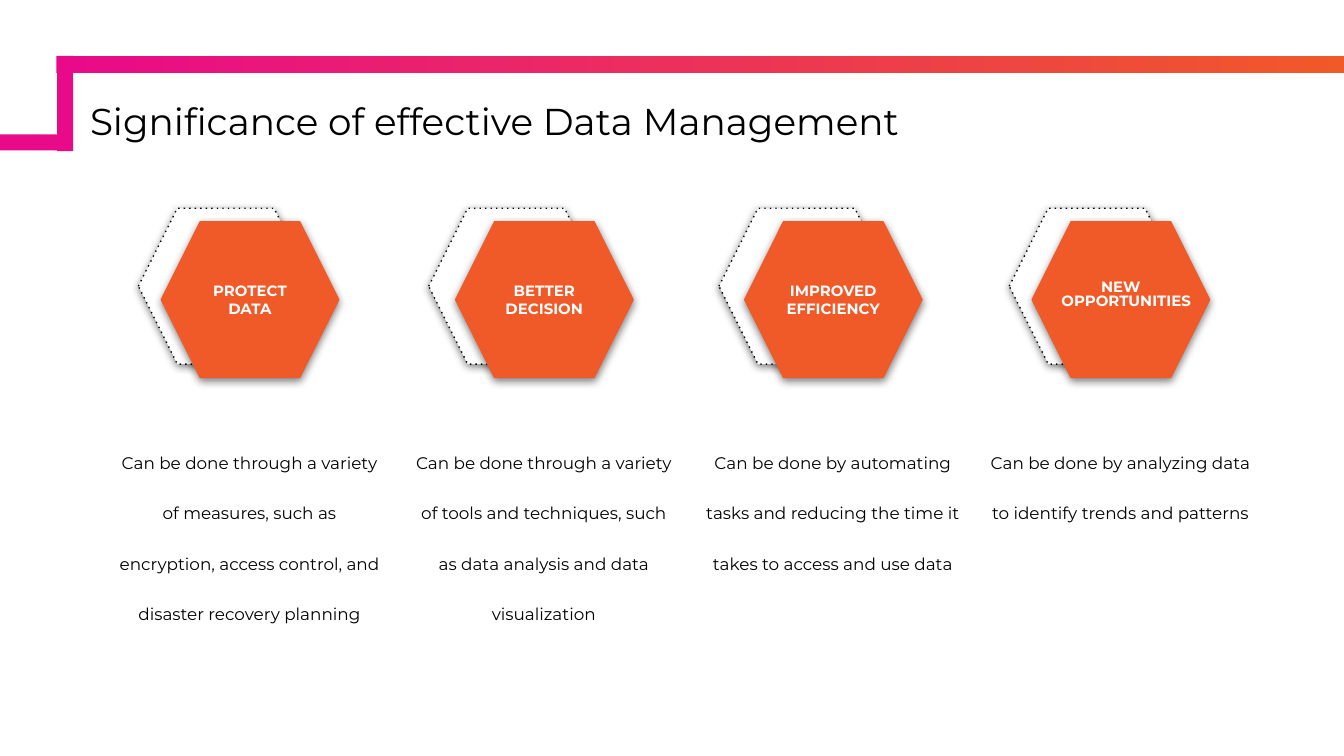
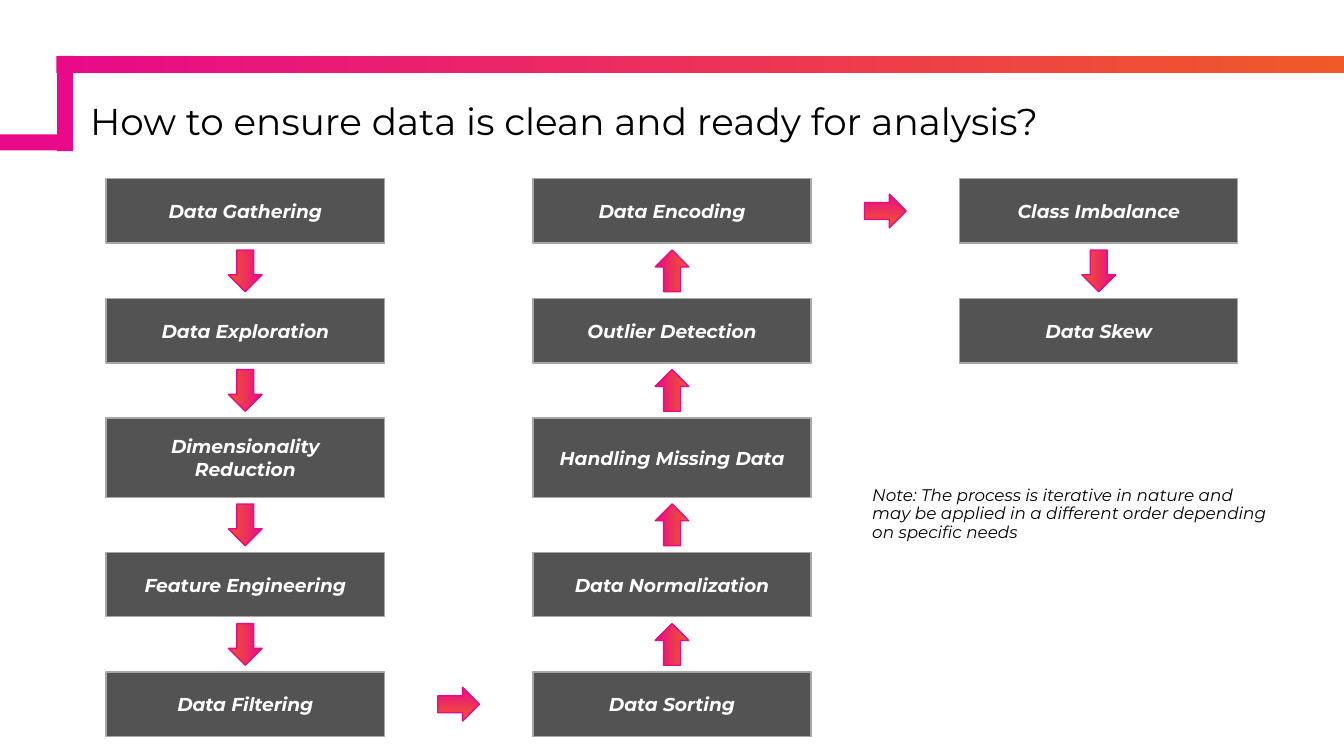
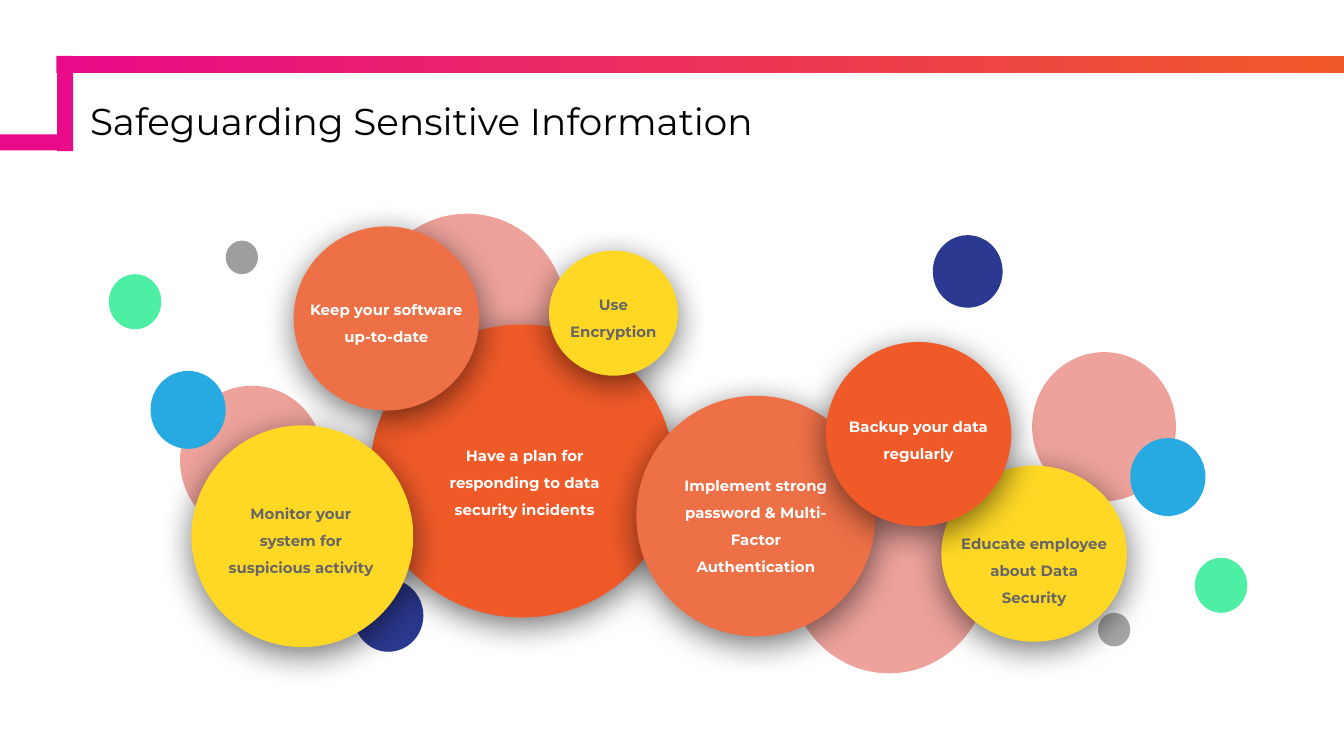
from dataclasses import dataclass

from lxml import etree
from pptx import Presentation
from pptx.dml.color import RGBColor
from pptx.enum.shapes import MSO_SHAPE
from pptx.enum.text import MSO_ANCHOR, PP_ALIGN
from pptx.oxml.ns import qn
from pptx.util import Inches, Pt

RECT, HEXAGON = MSO_SHAPE.RECTANGLE, MSO_SHAPE.HEXAGON
OVAL, DOWN_ARROW = MSO_SHAPE.OVAL, MSO_SHAPE.DOWN_ARROW
TOP, MIDDLE, BOTTOM = MSO_ANCHOR.TOP, MSO_ANCHOR.MIDDLE, MSO_ANCHOR.BOTTOM
LEFT, CENTER = PP_ALIGN.LEFT, PP_ALIGN.CENTER


@dataclass(frozen=True)
class Theme:
    """Colours, font and type sizes shared by all slides."""
    font: str = "Montserrat"
    title: int = 20
    step: int = 10
    body: int = 9
    label: int = 8
    black: str = "000000"
    white: str = "FFFFFF"
    orange: str = "F05A28"
    magenta: str = "E80A89"
    coral: str = "ED7047"
    yellow: str = "FFD825"
    rose: str = "EDA29B"
    navy: str = "2B3990"
    mint: str = "4DEFA5"
    sky: str = "27AAE1"
    silver: str = "A7A7A7"
    gray: str = "9E9E9E"
    dim: str = "666666"
    charcoal: str = "535353"


T = Theme()
HEX_SHADOW = (50, 4.5, 1.5)
BUBBLE_SHADOW = (55, 18, 4)

BENEFITS = [
    (1.2, "PROTECT DATA", 4, "Can be done through a variety of measures, such as "
     "encryption, access control, and disaster recovery planning"),
    (3.39, "BETTER DECISION", 4, "Can be done through a variety of tools and "
     "techniques, such as data analysis and data visualization"),
    (5.54, "IMPROVED EFFICIENCY", 3, "Can be done by automating tasks and reducing "
     "the time it takes to access and use data"),
    (7.68, "NEW OPPORTUNITIES", 2, "Can be done by analyzing data to identify "
     "trends and patterns"),
]

STEPS = [
    ("Data Gathering", 0, 0), ("Data Exploration", 0, 1),
    ("Dimensionality Reduction", 0, 2), ("Feature Engineering", 0, 3),
    ("Data Filtering", 0, 4), ("Data Sorting", 1, 4),
    ("Data Normalization", 1, 3), ("Handling Missing Data", 1, 2),
    ("Outlier Detection", 1, 1), ("Data Encoding", 1, 0),
    ("Class Imbalance", 2, 0), ("Data Skew", 2, 1),
]

DOTS = [
    (6.94, 1.75, 0.52, 0.54, T.navy), (8.89, 4.15, 0.39, 0.41, T.mint),
    (7.68, 2.62, 1.07, 1.11, T.rose), (5.87, 3.46, 1.49, 1.55, T.rose),
    (8.41, 3.26, 0.56, 0.58, T.sky), (8.17, 4.56, 0.24, 0.25, T.silver),
]

BACK_BUBBLE = ((7.01, 3.47, 1.37, 1.3), T.yellow, T.dim,
               "Educate employee about Data Security", 0, 0.09)
BUBBLES = [
    ((2.76, 2.42, 2.25, 2.17), T.orange, T.white,
     "Have a plan for responding to data security incidents", 0.02, 0.05),
    ((2.19, 1.69, 1.37, 1.36), T.coral, T.white, "Keep your software up-to-date", 0, 0),
    ((1.43, 3.17, 1.64, 1.64), T.yellow, T.dim,
     "Monitor your system for suspicious activity", -0.01, 0),
    ((4.09, 1.87, 0.95, 0.92), T.yellow, T.dim, "Use Encryption", 0, 0),
    ((4.74, 2.95, 1.77, 1.78), T.coral, T.white,
     "Implement strong password & Multi-Factor Authentication", 0, 0.04),
    ((6.15, 2.55, 1.37, 1.36), T.orange, T.white, "Backup your data regularly", 0, 0.01),
]


def rgb(color):
    """Turn a hex string into a colour."""
    return RGBColor.from_string(color)


def add_shadow(sp, alpha, blur, dist):
    """Give a shape a soft black shadow that falls downwards."""
    effects = sp._element.spPr.find(qn("a:effectLst"))
    outer = etree.SubElement(effects, qn("a:outerShdw"), blurRad=str(Pt(blur)),
                             dist=str(Pt(dist)), dir="5400000", algn="bl",
                             rotWithShape="0")
    color = etree.SubElement(outer, qn("a:srgbClr"), val=T.black)
    etree.SubElement(color, qn("a:alpha"), val=str(alpha * 1000))


def add_shape(slide, kind, box, fill, line=None, dotted=False, shadow=None, rotation=0):
    """Add a preset shape; a pair of fill colours makes a gradient."""
    sp = slide.shapes.add_shape(kind, *map(Inches, box))
    sp.rotation = rotation
    if isinstance(fill, tuple):
        sp.fill.gradient()
        sp.fill.gradient_angle = 0
        for stop, color, position in zip(sp.fill.gradient_stops, fill, (0, 1)):
            stop.color.rgb = rgb(color)
            stop.position = position
    else:
        sp.fill.solid()
        sp.fill.fore_color.rgb = rgb(fill)
    if line:
        sp.line.color.rgb = rgb(line)
        sp.line.width = Pt(0.75)
        if dotted:
            ln = sp._element.spPr.find(qn("a:ln"))
            etree.SubElement(ln, qn("a:prstDash"), val="dot")
    else:
        sp.line.fill.background()
    sp.shadow.inherit = False
    if shadow:
        add_shadow(sp, *shadow)
    return sp


def set_text(sp, text, size=T.label, color=T.white, bold=False, italic=False,
             align=CENTER, anchor=MIDDLE, spacing=None, inset=0.1):
    """Write one formatted paragraph into a shape."""
    tf = sp.text_frame
    tf.word_wrap = True
    tf.vertical_anchor = anchor
    tf.margin_left = tf.margin_right = Inches(inset)
    tf.margin_top = tf.margin_bottom = Inches(inset)
    p = tf.paragraphs[0]
    p.alignment = align
    if spacing:
        p.line_spacing = spacing
    r = p.add_run()
    r.text = text
    font = r.font
    font.name, font.size, font.color.rgb = T.font, Pt(size), rgb(color)
    font.bold, font.italic = bold, italic


def add_text(slide, box, text, **style):
    """Add a text box."""
    set_text(slide.shapes.add_textbox(*map(Inches, box)), text, **style)


def add_heading(slide, box, text, **style):
    """Add left-aligned text that grows up from the bottom of its box."""
    add_text(slide, box, text, color=T.black, align=LEFT, anchor=BOTTOM,
             spacing=0.9, inset=0.05, **style)


def new_slide(prs, title):
    """Add a slide with the stepped band and the title."""
    slide = prs.slides.add_slide(prs.slide_layouts[6])
    add_shape(slide, RECT, (0.42, 0.42, 9.66, 0.12), (T.magenta, T.orange))
    add_shape(slide, RECT, (0.13, 0.71, 0.71, 0.12), T.magenta, rotation=90)
    add_shape(slide, RECT, (-0.08, 1, 0.62, 0.12), T.magenta)
    add_heading(slide, (0.62, 0.78, 9.03, 0.34), title, size=T.title)
    return slide


def add_benefit(slide, back_left, left, top, label, lines, text):
    """Draw a double hexagon with its label and the description below."""
    add_shape(slide, HEXAGON, (back_left, top, 1.3, 1.16), T.white, T.black,
              dotted=True, shadow=HEX_SHADOW)
    sp = add_shape(slide, HEXAGON, (left, top + 0.1, 1.32, 1.16), T.orange, T.orange,
                   shadow=HEX_SHADOW)
    first, second = label.split()
    if len(second) > 10:
        set_text(sp, first, bold=True)
        sp.text_frame.margin_bottom = Inches(0.3)
        add_text(slide, (left + 0.04, top + 0.55, 1.32, 0.34), second, bold=True,
                 anchor=TOP)
    else:
        set_text(sp, label, bold=True)
    add_text(slide, (left - 0.42, top + 1.49, 2.15, 0.38 * lines - 0.03), text,
             size=T.body, color=T.black, anchor=TOP, spacing=2.5)


def add_flow(slide, left, top):
    """Draw the steps as a snaking grid with an arrow between neighbours."""
    width, pitch, gap = 2.07, 6.35 / 2, 0.41
    heights = [0.48, 0.48, 0.59, 0.48, 0.48]
    arrow_w, arrow_h = 0.25, 0.31
    tops = [top + sum(heights[:i]) + gap * i for i in range(len(heights))]
    for text, col, row in STEPS:
        sp = add_shape(slide, RECT, (left + pitch * col, tops[row], width, heights[row]),
                       T.charcoal, T.silver)
        set_text(sp, text, size=T.step, bold=True, italic=True)
    for (_, col, row), (_, next_col, next_row) in zip(STEPS, STEPS[1:]):
        x = left + pitch * col + width / 2
        if col != next_col:
            x += pitch / 2
            y = tops[row] + heights[row] / 2
            rotation = 270
        else:
            y = tops[max(row, next_row)] - gap / 2
            rotation = 0 if next_row > row else 180
        add_shape(slide, DOWN_ARROW,
                  (x - arrow_w / 2, y - arrow_h / 2, arrow_w, arrow_h),
                  (T.orange, T.magenta), T.magenta, rotation=rotation)


def add_dots(slide, mirrored=False):
    """Draw the loose circles, or the same set turned half way round."""
    for x, y, w, h, color in DOTS:
        if mirrored:
            x, y = 10.09 - x - w, 6.6 - y - h
            color = T.gray if color == T.silver else color
        add_shape(slide, OVAL, (x, y, w, h), color)


def add_bubble(slide, box, fill, color, text, shift, drop):
    """Draw a shadowed circle with text near its centre."""
    x, y, w, h = box
    add_shape(slide, OVAL, box, fill, fill, shadow=BUBBLE_SHADOW)
    text_w, text_h = 1.35 if w > 1 else 1, 0.85
    add_text(slide, (x + (w - text_w) / 2 + shift, y + (h - text_h) / 2 + drop,
                     text_w, text_h),
             text, color=color, bold=True, spacing=1.5)


def significance_slide(prs):
    """Four benefits of data management."""
    slide = new_slide(prs, "Significance of effective Data Management")
    for i, (left, label, lines, text) in enumerate(BENEFITS):
        add_benefit(slide, 1.03 + 2.16 * i, left, 1.55, label, lines, text)


def cleaning_slide(prs):
    """Steps for cleaning data, with a note."""
    slide = new_slide(prs, "How to ensure data is clean and ready for analysis?")
    add_flow(slide, 0.79, 1.33)
    add_heading(slide, (6.44, 3.74, 3.07, 0.34),
                "Note: The process is iterative in nature and may be applied in a "
                "different order depending on specific needs",
                size=T.body, italic=True)


def safeguarding_slide(prs):
    """Bubbles with ways to protect information."""
    slide = new_slide(prs, "Safeguarding Sensitive Information")
    add_dots(slide)
    add_bubble(slide, *BACK_BUBBLE)
    add_dots(slide, mirrored=True)
    for bubble in BUBBLES:
        add_bubble(slide, *bubble)


def main():
    """Build and save the presentation."""
    prs = Presentation()
    prs.slide_width, prs.slide_height = Inches(10), Inches(10 * 9 / 16)
    significance_slide(prs)
    cleaning_slide(prs)
    safeguarding_slide(prs)
    prs.save("out.pptx")


if __name__ == "__main__":
    main()
